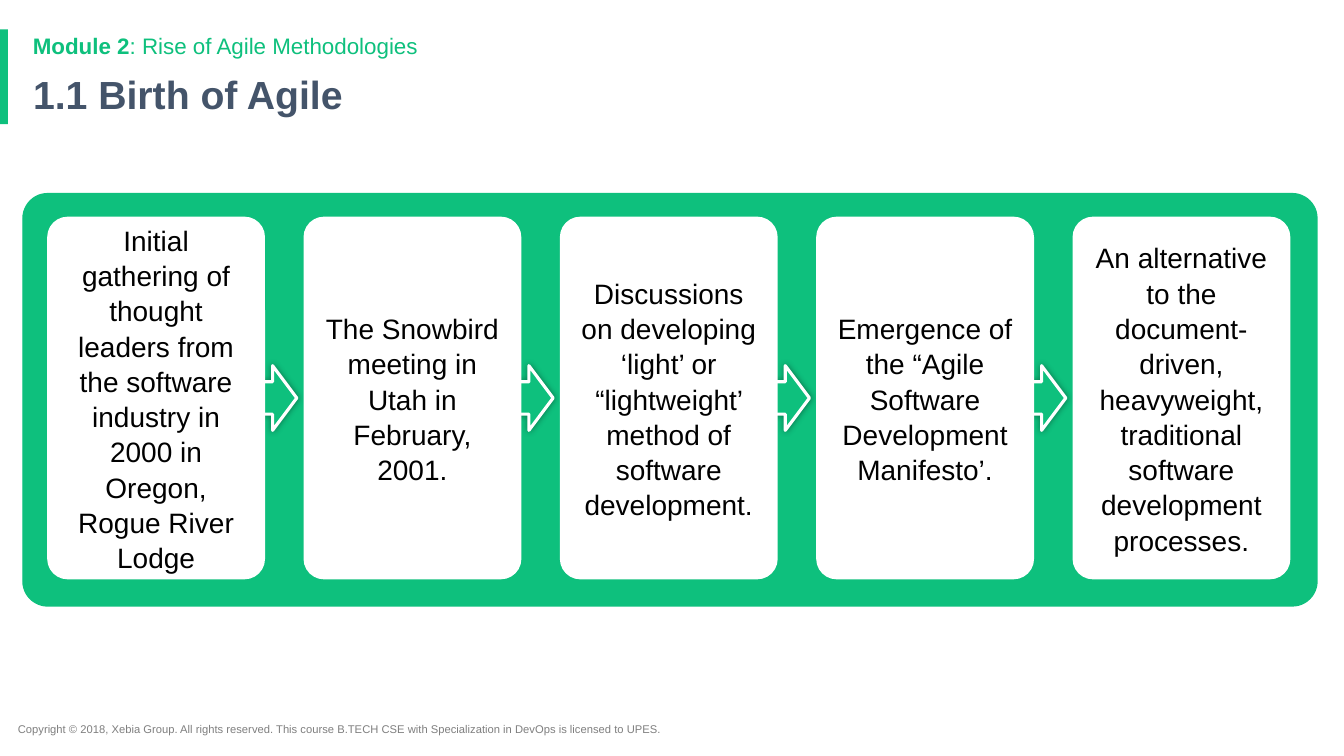
from dataclasses import dataclass

from pptx import Presentation
from pptx.dml.color import RGBColor as Rgb
from pptx.enum.shapes import MSO_SHAPE as Kind
from pptx.enum.text import MSO_ANCHOR as Anchor, PP_ALIGN as Align
from pptx.oxml import parse_xml
from pptx.oxml.ns import nsdecls
from pptx.util import Cm, Pt


@dataclass(frozen=True)
class Theme:
    font: str = "Arial"
    green: str = "0EC07D"
    slate: str = "44546A"
    gray: str = "7F7F7F"
    white: str = "FFFFFF"
    black: str = "000000"
    title: int = 28
    module: int = 16
    card: int = 20
    small: int = 8


STEPS = [
    "Initial gathering of thought leaders from the software industry in 2000 "
    "in Oregon, Rogue River Lodge",
    "The Snowbird meeting in Utah in February, 2001.",
    "Discussions on developing ‘light’ or “lightweight’ method of software "
    "development.",
    "Emergence of the “Agile Software Development Manifesto’.",
    "An alternative to the document-driven, heavyweight, traditional software "
    "development processes.",
]
LEFT, PITCH = 1.19, 6.46
CARD_TOP, CARD_W, CARD_H = 5.46, 5.49, 9.14
ARROW_W, ARROW_H = 1.22, 1.63
SHADOW = (
    f'<a:effectLst {nsdecls("a")}><a:outerShdw blurRad="{Pt(5)}" dist="0" '
    'dir="0" rotWithShape="0"><a:srgbClr val="{}"><a:alpha val="40000"/>'
    '</a:srgbClr></a:outerShdw></a:effectLst>'
)


class Deck:
    def __init__(self, theme):
        self.theme = theme
        self.prs = Presentation()
        self.prs.slide_width, self.prs.slide_height = Cm(33.87), Cm(19.05)
        self.slide = self.prs.slides.add_slide(self.prs.slide_layouts[5])

    def style(self, para, size, color, bold=None):
        font = para.font
        font.name, font.size, font.bold = self.theme.font, Pt(size), bold
        font.color.rgb = Rgb.from_string(color)

    def title(self, text, x, y, w, h):
        shape = self.slide.shapes.title
        shape.left, shape.top, shape.width, shape.height = map(Cm, (x, y, w, h))
        frame = shape.text_frame
        frame.text, frame.vertical_anchor = text, Anchor.MIDDLE
        para = frame.paragraphs[0]
        para.alignment, para.line_spacing = Align.LEFT, 0.9
        self.style(para, self.theme.title, self.theme.slate, True)

    def label(self, parts, x, y, w, h, size, color, spacing=None):
        """Add one line of text from (text, bold) parts."""
        frame = self.slide.shapes.add_textbox(*map(Cm, (x, y, w, h))).text_frame
        frame.word_wrap = True
        para = frame.paragraphs[0]
        para.line_spacing = spacing
        self.style(para, size, color)
        for text, bold in parts:
            run = para.add_run()
            run.text, run.font.bold = text, bold

    def shape(self, kind, x, y, w, h, fill, line=None, width=1, round=None):
        shape = self.slide.shapes.add_shape(kind, *map(Cm, (x, y, w, h)))
        shape.shadow.inherit = False
        shape.fill.solid()
        shape.fill.fore_color.rgb = Rgb.from_string(fill)
        if line:
            shape.line.color.rgb = Rgb.from_string(line)
            shape.line.width = Pt(width)
        else:
            shape.line.fill.background()
        if round is not None:
            shape.adjustments[0] = round
        return shape

    def arrow(self, x, y):
        theme = self.theme
        shape = self.shape(Kind.RIGHT_ARROW, x, y, ARROW_W, ARROW_H,
                           theme.green, theme.white, 2.25)
        props = shape.element.spPr
        props.replace(props.find("{*}effectLst"),
                      parse_xml(SHADOW.format(theme.black)))

    def card(self, text, x):
        shape = self.shape(Kind.ROUNDED_RECTANGLE, x, CARD_TOP, CARD_W, CARD_H,
                           self.theme.white, round=0.094)
        frame = shape.text_frame
        frame.text, frame.word_wrap = text, True
        frame.vertical_anchor = Anchor.MIDDLE
        para = frame.paragraphs[0]
        para.alignment, para.line_spacing = Align.CENTER, 1.05
        self.style(para, self.theme.card, self.theme.black)


def main():
    theme = Theme()
    deck = Deck(theme)
    deck.shape(Kind.RECTANGLE, 0, 0.74, 0.2, 2.39, theme.green)
    deck.label([("Copyright © 2018, Xebia Group. All rights reserved. This course "
                 "B.TECH CSE with Specialization in DevOps is licensed to UPES.",
                 None)], 0.2, 18.08, 18.11, 0.61, theme.small, theme.gray)
    deck.title("1.1 Birth of Agile", 0.58, 1.75, 29.21, 1.37)
    deck.label([("Module 2", True), (": Rise of Agile Methodologies", False)],
               0.58, 0.76, 29.21, 0.84, theme.module, theme.green, 0.9)
    deck.shape(Kind.ROUNDED_RECTANGLE, 0.58, 4.88, 32.61, 10.39,
               theme.green, theme.green, round=0.06)

    spots = [LEFT + i * PITCH for i in range(len(STEPS))]
    for x in spots[:-1]:
        deck.arrow(x + CARD_W - 0.42, CARD_TOP + (CARD_H - ARROW_H) / 2)
    for text, x in zip(STEPS, spots):
        deck.card(text, x)
    deck.prs.save("out.pptx")


if __name__ == "__main__":
    main()
